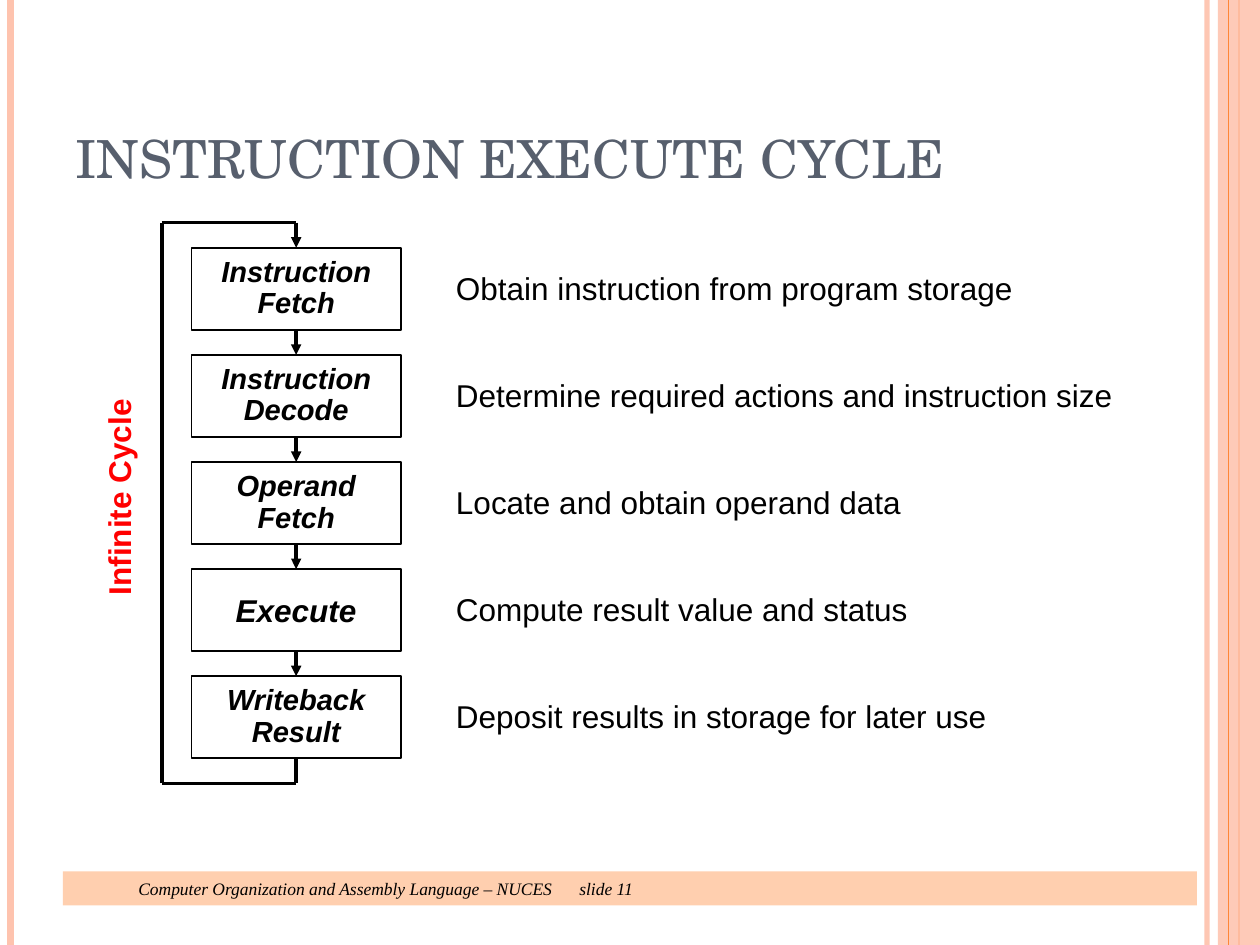
import pptx
import pptx.dml.color
import pptx.enum.shapes
import pptx.enum.text
import pptx.oxml.ns
import pptx.util
from lxml import etree

Pt = pptx.util.Pt
RGBColor = pptx.dml.color.RGBColor
ALIGN = pptx.enum.text.PP_ALIGN
ANCHOR = pptx.enum.text.MSO_ANCHOR
qn = pptx.oxml.ns.qn

BLACK = RGBColor(0x00, 0x00, 0x00)
RED = RGBColor(0xFF, 0x00, 0x00)
SLATE = RGBColor(0x57, 0x5F, 0x6D)
PEACH = RGBColor(0xFE, 0xC3, 0xAE)
ORANGE = RGBColor(0xFE, 0x86, 0x37)
FOOTER_FILL = RGBColor(0xFF, 0xCF, 0xAF)

WIDTH, HEIGHT = 720, 540
TOP, BOTTOM = 0, 2  # connection sites of a rectangle

STEPS = [
    ("Instruction\nFetch", "Obtain instruction from program storage"),
    ("Instruction\nDecode", "Determine required actions and instruction size"),
    ("Operand\nFetch", "Locate and obtain operand data"),
    ("Execute", "Compute result value and status"),
    ("Writeback\nResult", "Deposit results in storage for later use"),
]


def set_alpha(owner, percent):
    color = next(owner.iter(qn("a:srgbClr")))
    etree.SubElement(color, qn("a:alpha")).set("val", str(percent * 1000))


def add_line(slide, start, end, color, width, arrow=False):
    line = slide.shapes.add_connector(
        pptx.enum.shapes.MSO_CONNECTOR.STRAIGHT, *map(Pt, start + end))
    line.line.color.rgb = color
    line.line.width = Pt(width)
    if arrow:
        etree.SubElement(line.line._ln, qn("a:tailEnd")).set("type", "triangle")
    etree.SubElement(line._element.spPr, qn("a:effectLst"))
    return line


def add_rect(slide, box, fill=None, outline=None):
    rect = slide.shapes.add_shape(
        pptx.enum.shapes.MSO_SHAPE.RECTANGLE, *map(Pt, box))
    rect.shadow.inherit = False
    if fill is None:
        rect.fill.background()
    else:
        rect.fill.solid()
        rect.fill.fore_color.rgb = fill
    if outline is None:
        rect.line.fill.background()
    else:
        rect.line.color.rgb = outline
        rect.line.width = Pt(1)
    return rect


def write(shape, text, size, color=BLACK, font="Arial", bold=False, italic=False,
          align=ALIGN.LEFT, anchor=ANCHOR.TOP, spacing=None, insets=(5, 2.3)):
    frame = shape.text_frame
    frame.word_wrap = True
    frame.vertical_anchor = anchor
    frame.margin_left = frame.margin_right = Pt(insets[0])
    frame.margin_top = frame.margin_bottom = Pt(insets[1])
    frame.text = text
    for paragraph in frame.paragraphs:
        paragraph.alignment = align
        if spacing:
            paragraph.line_spacing = spacing
        for run in paragraph.runs:
            run.font.size = Pt(size)
            run.font.name = font
            run.font.bold = bold
            run.font.italic = italic
            run.font.color.rgb = color


def add_label(slide, box, text, size, **style):
    label = slide.shapes.add_textbox(*map(Pt, box))
    write(label, text, size, **style)
    return label


def add_side_stripes(slide, box):
    left, top, width, height = box
    right, bottom = left + width, top + height

    def stripe(x, color, weight):
        return add_line(slide, (x, top), (x, bottom), color, weight)

    set_alpha(stripe(right - 30.2, PEACH, 3)._element.spPr, 93)
    stripe(left + 6, PEACH, 4.5)
    stripe(right - 12, ORANGE, 1.5)
    band = add_rect(slide, (right - 24, top, 24, height), PEACH)
    set_alpha(band._element.spPr, 87)
    stripe(right - 18, ORANGE, 0.75)


def add_footer(slide, box):
    bar = add_rect(slide, box, FOOTER_FILL)
    # Centre and right tab stops hold the course name and the slide number
    paragraph = bar.text_frame.paragraphs[0]
    tabs = etree.SubElement(paragraph._p.get_or_add_pPr(), qn("a:tabLst"))
    for position, kind in ((310.3, "ctr"), (633.6, "r")):
        tab = etree.SubElement(tabs, qn("a:tab"))
        tab.set("pos", str(Pt(position)))
        tab.set("algn", kind)
    write(bar, "\tComputer Organization and Assembly Language – NUCES\tslide 11",
          10, font="Times New Roman", italic=True, anchor=ANCHOR.MIDDLE,
          insets=(7.2, 3.6))


def add_cycle(slide, box):
    left, top, width, height = box
    step_width, step_height, gap = 119.5, 46.8, 14.4
    step_left = left + 17
    center = step_left + step_width / 2
    bottom = top + height

    # Steps and what each one does
    steps = []
    for index, (name, meaning) in enumerate(STEPS):
        step_top = top + gap + index * (step_height + gap)
        step = add_rect(slide, (step_left, step_top, step_width, step_height),
                        outline=BLACK)
        two_lines = "\n" in name
        write(step, name, 16.6 if two_lines else 18, bold=True, italic=True,
              align=ALIGN.CENTER, anchor=ANCHOR.MIDDLE,
              spacing=0.9 if two_lines else None)
        add_label(slide, (left + 163.1, step_top + 10.8, width - 163.1, 25.2),
                  meaning, 18, align=ALIGN.JUSTIFY, spacing=0.97)

        # Arrow into the step, from the step above or from the loop
        arrow = add_line(slide, (center, step_top - gap), (center, step_top),
                         BLACK, 2, arrow=True)
        if steps:
            arrow.begin_connect(steps[-1], BOTTOM)
        arrow.end_connect(step, TOP)
        steps.append(step)

    # Loop from the last step back to the first
    corners = [(center, bottom - gap), (center, bottom), (left, bottom),
               (left, top), (center, top)]
    loop = [add_line(slide, start, end, BLACK, 2)
            for start, end in zip(corners, corners[1:])]
    loop[0].begin_connect(steps[-1], BOTTOM)

    # Turned label beside the loop
    label_width, label_height = 354, 25.2
    label = add_label(
        slide, (left - 24.1 - label_width / 2,
                top + height / 2 - 3.2 - label_height / 2,
                label_width, label_height),
        "Infinite Cycle", 18, color=RED, bold=True, align=ALIGN.CENTER,
        spacing=0.97)
    label.rotation = 270


def main():
    deck = pptx.Presentation()
    deck.slide_width, deck.slide_height = Pt(WIDTH), Pt(HEIGHT)
    slide = deck.slides.add_slide(deck.slide_layouts[6])
    add_side_stripes(slide, (0, 0, WIDTH, HEIGHT))
    add_footer(slide, (36, 498, 648, 19.4))
    add_label(slide, (36, 21.6, 588, 90), "INSTRUCTION EXECUTE CYCLE", 30,
              color=SLATE, font="TeX Gyre Schola", anchor=ANCHOR.BOTTOM,
              insets=(7.2, 3.6))
    add_cycle(slide, (92.5, 127.2, 552, 320.4))
    deck.save("out.pptx")


if __name__ == "__main__":
    main()
